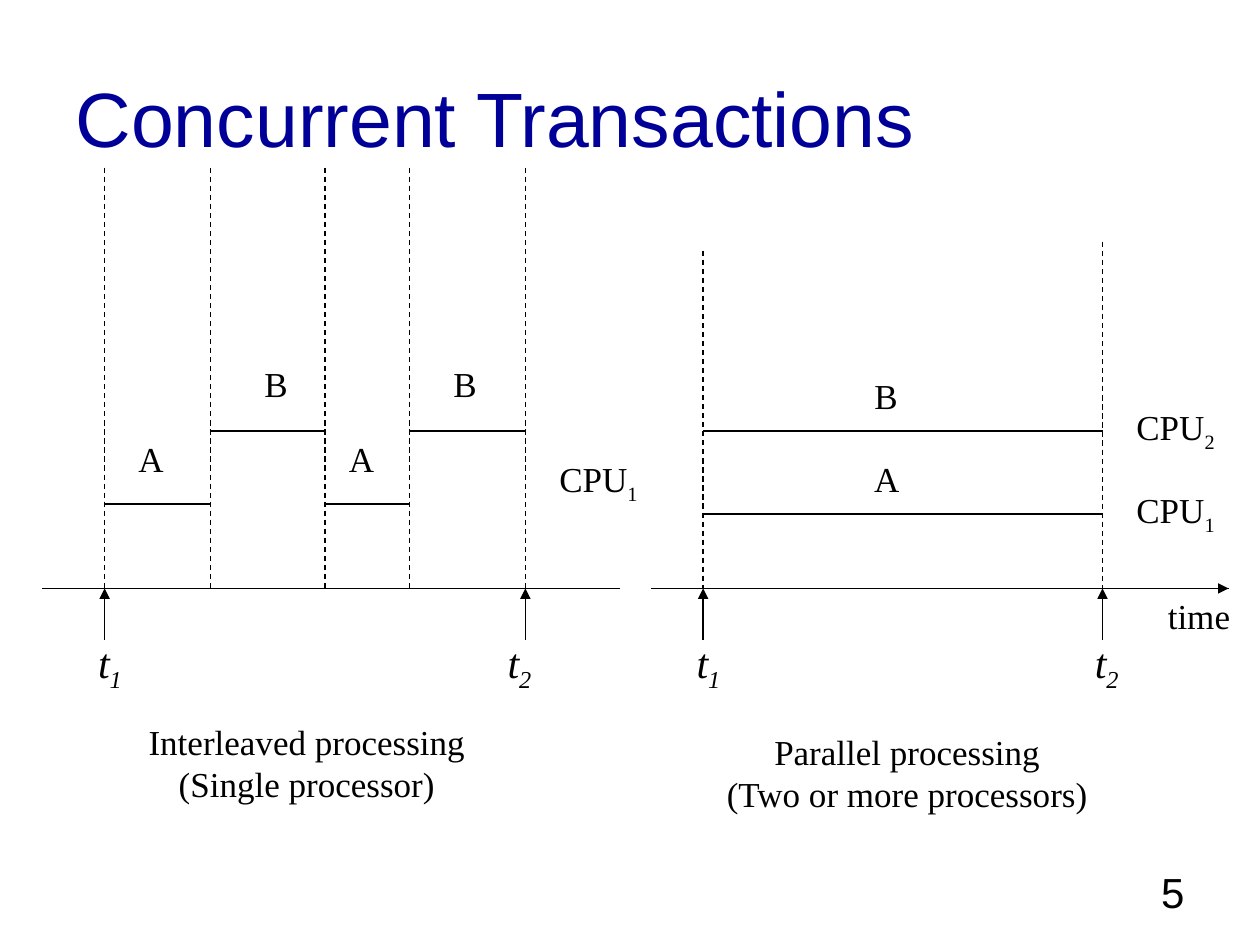
"""Build a slide comparing interleaved and parallel processing of transactions."""
import pptx
import pptx.dml.color
import pptx.enum.dml
import pptx.enum.shapes
import pptx.enum.text
import pptx.oxml.ns
import pptx.util
from dataclasses import dataclass
from lxml import etree
from pptx.util import Inches


@dataclass(frozen=True)
class Theme:
    ink: str = "000000"
    head: str = "000099"
    sans: str = "Arial"
    serif: str = "Times New Roman"
    title: int = 44
    large: int = 24
    body: int = 20
    thin: float = 0.75
    thick: float = 1.5


theme = Theme()
align = pptx.enum.text.PP_ALIGN
fit = pptx.enum.text.MSO_AUTO_SIZE
black = pptx.dml.color.RGBColor.from_string(theme.ink)

deck = pptx.Presentation()
deck.slide_width, deck.slide_height = Inches(10), Inches(7.5)
slide = deck.slides.add_slide(deck.slide_layouts[5])


def draw(x1, y1, x2, y2, width=theme.thin, dash=False, arrow=False):
    line = slide.shapes.add_connector(
        pptx.enum.shapes.MSO_CONNECTOR.STRAIGHT,
        Inches(x1), Inches(y1), Inches(x2), Inches(y2))
    line.line.color.rgb = black
    line.line.width = pptx.util.Pt(width)
    if dash:
        line.line.dash_style = pptx.enum.dml.MSO_LINE.DASH
    if arrow:
        etree.SubElement(line.line._get_or_add_ln(),
                         pptx.oxml.ns.qn("a:tailEnd"), type="triangle")
    etree.SubElement(line._element.spPr, pptx.oxml.ns.qn("a:effectLst"))


def write(x, y, w, h, rows, size=theme.body, face=theme.serif,
          side=align.LEFT, sub="", slant=False, wrap=False):
    box = slide.shapes.add_textbox(Inches(x), Inches(y), Inches(w), Inches(h))
    frame = box.text_frame
    frame.word_wrap = wrap
    frame.auto_size = fit.NONE if wrap else fit.SHAPE_TO_FIT_TEXT
    for i, row in enumerate(rows):
        para = frame.add_paragraph() if i else frame.paragraphs[0]
        para.alignment = side
        for text in filter(None, (row, sub)):
            run = para.add_run()
            run.text = text
            run.font.name = face
            run.font.size = pptx.util.Pt(size)
            run.font.color.rgb = black
            run.font.italic = slant
            if text == sub:
                run._r.get_or_add_rPr().set("baseline", "-25000")


title = slide.shapes.title
title.left, title.top = Inches(0.5), Inches(0.3)
title.width, title.height = Inches(9), Inches(1.25)
frame = title.text_frame
frame.auto_size = fit.NONE
frame.vertical_anchor = pptx.enum.text.MSO_ANCHOR.MIDDLE
frame.paragraphs[0].alignment = align.LEFT
run = frame.paragraphs[0].add_run()
run.text = "Concurrent Transactions"
run.font.name = theme.sans
run.font.size = pptx.util.Pt(theme.title)
run.font.color.rgb = pptx.dml.color.RGBColor.from_string(theme.head)

write(7.17, 6.83, 2.33, 0.52, ["5"], theme.large, theme.sans,
      align.RIGHT, wrap=True)

base = 4.67
for left, right in ((0.33, 4.92), (5.17, 9.75)):
    draw(left, base, right, base)
draw(9, base, 9.75, base, arrow=True)
write(9.17, base, 0.72, 0.44, ["time"])

cuts = (0.83, 1.67, 2.58, 3.25, 4.17)
start, end = 5.58, 8.75
for x, top in [(cut, 1.33) for cut in cuts] + [(start, 1.99), (end, 1.92)]:
    draw(x, top, x, base, dash=True)

for i, (left, right) in enumerate(zip(cuts, cuts[1:])):
    y = 3.42 if i % 2 else 4
    draw(left, y, right, y, theme.thick)
for y in (3.42, 4.08):
    draw(start, y, end, y, theme.thick)

for name, x, y in (("A", 1, 3.42), ("B", 2, 2.83), ("A", 2.67, 3.42),
                   ("B", 3.5, 2.83), ("B", 6.84, 2.92), ("A", 6.84, 3.58)):
    write(x, y, 0.4 if name == "A" else 0.38, 0.44, [name])

for num, x, y in (("1", 4.34, 3.58), ("2", 8.92, 3.17), ("1", 8.92, 3.83)):
    write(x, y, 0.82, 0.48, ["CPU"], sub=num)

for num, x, left in (("1", cuts[0], 0.68), ("2", cuts[-1], 3.93),
                     ("1", start, 5.43), ("2", end, 8.59)):
    draw(x, 5.08, x, base, arrow=True)
    write(left, 5, 0.39, 0.56, ["t"], theme.large, sub=num, slant=True)

for x, y, w, rows in (
        (1.08, 5.67, 2.71, ["Interleaved processing", "(Single processor)"]),
        (5.66, 5.75, 3.08, ["Parallel processing", "(Two or more processors)"])):
    write(x, y, w, 0.77, rows, side=align.CENTER)

deck.save("out.pptx")
